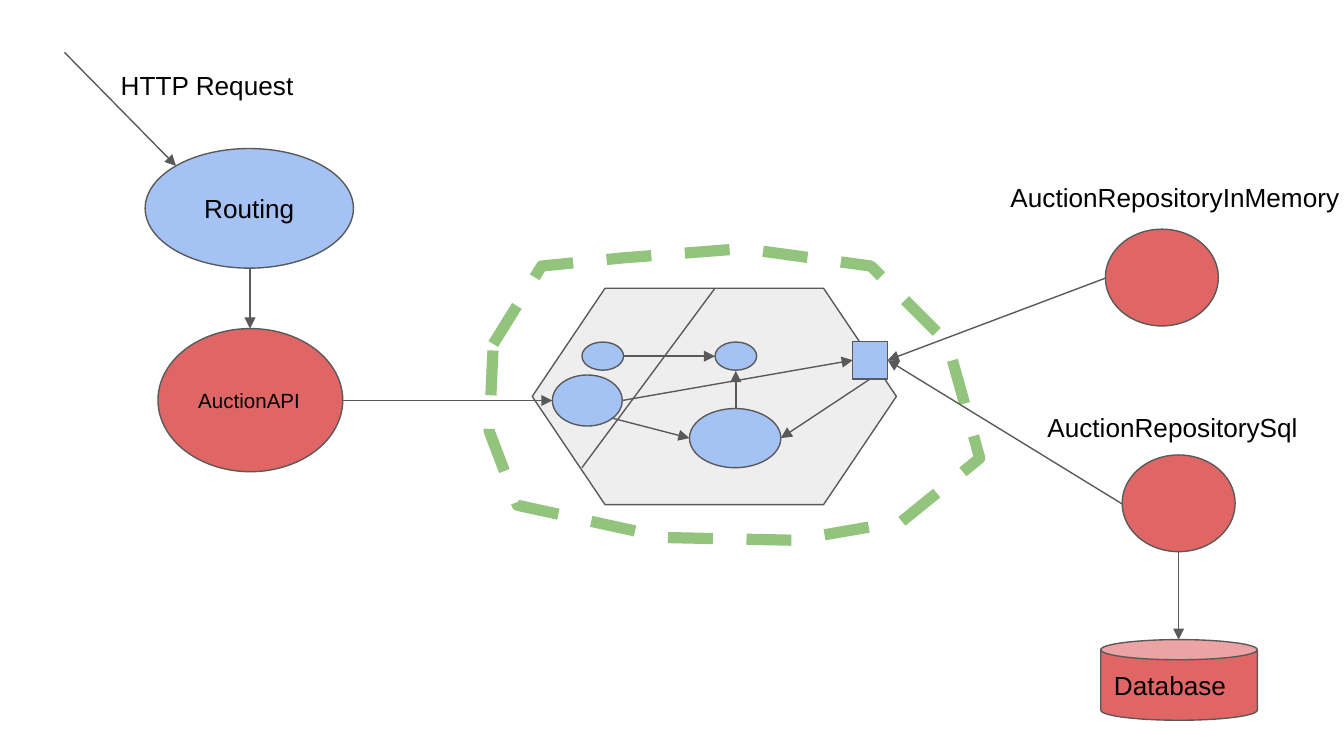
from dataclasses import dataclass

from lxml import etree
from pptx import Presentation
from pptx.dml.color import RGBColor
from pptx.enum.dml import MSO_LINE
from pptx.enum.shapes import MSO_CONNECTOR, MSO_SHAPE
from pptx.enum.text import MSO_ANCHOR, PP_ALIGN
from pptx.oxml.ns import qn
from pptx.util import Pt

PX = 4572  # 200 px to the inch
SLIDE_WIDTH, SLIDE_HEIGHT = 2000, 1125
INSET = 20

ELLIPSE = MSO_SHAPE.OVAL
RECTANGLE = MSO_SHAPE.RECTANGLE
HEXAGON = MSO_SHAPE.FLOWCHART_PREPARATION
CYLINDER = MSO_SHAPE.CAN
STRAIGHT = MSO_CONNECTOR.STRAIGHT
DASH = MSO_LINE.DASH
TOP, MIDDLE = MSO_ANCHOR.TOP, MSO_ANCHOR.MIDDLE
LEFT, CENTER = PP_ALIGN.LEFT, PP_ALIGN.CENTER
LEFT_SITE, BOTTOM_SITE, RIGHT_SITE = 1, 2, 3


@dataclass(frozen=True)
class Theme:
    domain: RGBColor = RGBColor(0xA4, 0xC2, 0xF4)
    adapter: RGBColor = RGBColor(0xE0, 0x66, 0x66)
    hexagon: RGBColor = RGBColor(0xEE, 0xEE, 0xEE)
    boundary: RGBColor = RGBColor(0x93, 0xC4, 0x7D)
    outline: RGBColor = RGBColor(0x59, 0x59, 0x59)
    text: RGBColor = RGBColor(0x00, 0x00, 0x00)
    font: str = "Arial"
    label_size: Pt = Pt(14)
    small_size: Pt = Pt(11)
    outline_width: Pt = Pt(0.75)
    boundary_width: Pt = Pt(6)


THEME = Theme()


@dataclass(frozen=True)
class Region:
    """A box on the slide; its parts are placed from its top left corner."""
    shapes: object
    left: int
    top: int
    width: int
    height: int

    def point(self, x, y):
        return (self.left + x) * PX, (self.top + y) * PX

    def node(self, kind, x, y, width, height, fill):
        node = self.shapes.add_shape(kind, *self.point(x, y), width * PX, height * PX)
        node.shadow.inherit = False
        node.fill.solid()
        node.fill.fore_color.rgb = fill
        node.line.color.rgb = THEME.outline
        node.line.width = THEME.outline_width
        return node

    def label(self, text, x, y, width, height):
        box = self.shapes.add_textbox(*self.point(x, y), width * PX, height * PX)
        write(box, text)

    def line(self, start, end, arrow=True):
        line = self.shapes.add_connector(STRAIGHT, *self.point(*start), *self.point(*end))
        line.line.color.rgb = THEME.outline
        line.line.width = THEME.outline_width
        properties = line.element.spPr
        if arrow:
            etree.SubElement(properties.find(qn("a:ln")), qn("a:tailEnd"), type="triangle")
        etree.SubElement(properties, qn("a:effectLst"))
        return line


def write(shape, text, size=THEME.label_size, anchor=TOP, align=LEFT):
    frame = shape.text_frame
    frame.text = text
    frame.word_wrap = True
    frame.vertical_anchor = anchor
    frame.margin_left = frame.margin_right = INSET * PX
    frame.margin_top = frame.margin_bottom = INSET * PX
    paragraph = frame.paragraphs[0]
    paragraph.alignment = align
    font = paragraph.runs[0].font
    font.name, font.size = THEME.font, size
    font.color.rgb = THEME.text


def draw_boundary(region):
    corners = [(6, 142), (78, 26), (198, 14), (378, 0), (568, 26), (682, 140),
               (730, 312), (614, 406), (452, 434), (262, 430), (42, 382), (0, 272)]
    first, *rest = [(region.left + x, region.top + y) for x, y in corners]
    builder = region.shapes.build_freeform(*first, scale=PX)
    builder.add_line_segments(rest, close=True)
    boundary = builder.convert_to_shape()
    boundary.shadow.inherit = False
    boundary.fill.background()
    boundary.line.color.rgb = THEME.boundary
    boundary.line.width = THEME.boundary_width
    boundary.line.dash_style = DASH


def draw_core(region):
    """Draw the hexagon with its domain objects and return the repository port."""
    region.node(HEXAGON, 64, 59, 542, 322, THEME.hexagon)
    region.line((336, 59), (138, 326), arrow=False)
    for x, y, width, height in [(94, 188, 104, 76), (138, 139, 62, 42),
                                (336, 139, 62, 42), (298, 238, 136, 88)]:
        region.node(ELLIPSE, x, y, width, height, THEME.domain)
    port = region.node(RECTANGLE, 541, 138, 52, 56, THEME.domain)

    region.line((200, 160), (336, 160))
    region.line((182, 252), (298, 282))
    region.line((367, 238), (367, 182))
    region.line((198, 226), (541, 166)).end_connect(port, LEFT_SITE)
    region.line((567, 194), (434, 282)).begin_connect(port, BOTTOM_SITE)
    draw_boundary(region)
    return port


def draw_repository(region, name, circle_left, circle_top, port):
    """Draw a named repository that points to the port it implements."""
    region.label(name, 0, 0, region.width, 120)
    region.node(ELLIPSE, circle_left, circle_top, 168, 144, THEME.adapter)
    start = (circle_left, circle_top + 73)
    region.line(start, start).end_connect(port, RIGHT_SITE)


def draw_database(region):
    database = region.node(CYLINDER, 0, 130, region.width, 120, THEME.adapter)
    write(database, "Database", anchor=MIDDLE)
    region.line((116, 0), (116, 130))


def draw_entry(region):
    """Draw the way of a request through the routing and the API to the core."""
    region.label("HTTP Request", 64, 6, 400, 60)
    routing = region.node(ELLIPSE, 120, 143, 310, 178, THEME.domain)
    write(routing, "Routing", anchor=MIDDLE, align=CENTER)
    api = region.node(ELLIPSE, 139, 411, 275, 213, THEME.adapter)
    write(api, "AuctionAPI", THEME.small_size, MIDDLE)
    region.line((0, 0), (166, 169))
    region.line((276, 321), (276, 411))
    region.line((414, 518), (region.width, 518))


def main():
    presentation = Presentation()
    presentation.slide_width = SLIDE_WIDTH * PX
    presentation.slide_height = SLIDE_HEIGHT * PX
    shapes = presentation.slides.add_slide(presentation.slide_layouts[6]).shapes

    port = draw_core(Region(shapes, 728, 370, 732, 434))
    draw_repository(Region(shapes, 1484, 250, 542, 235),
                    "AuctionRepositoryInMemory", 161, 91, port)
    draw_repository(Region(shapes, 1539, 592, 432, 229),
                    "AuctionRepositorySql", 131, 85, port)
    draw_database(Region(shapes, 1638, 822, 233, 250))
    draw_entry(Region(shapes, 96, 78, 726, 624))

    presentation.save("out.pptx")


if __name__ == "__main__":
    main()
